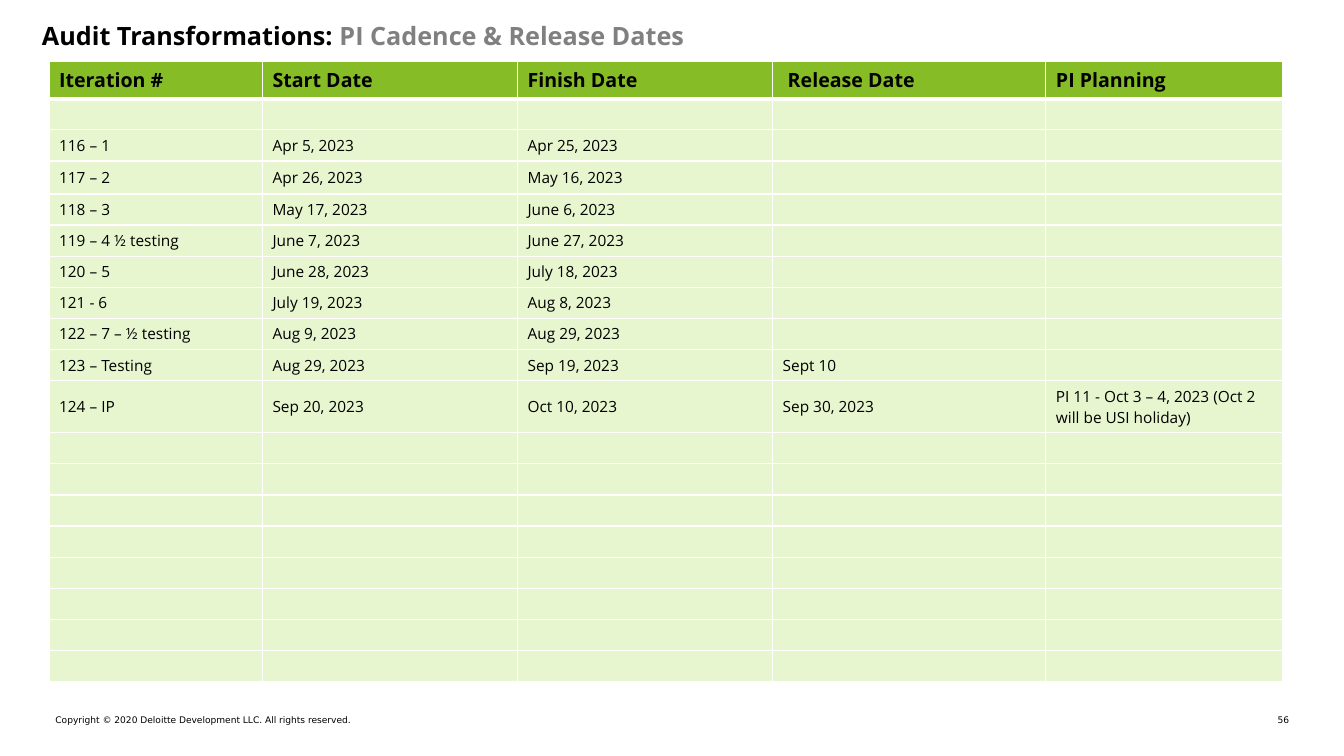
from dataclasses import dataclass

from lxml import etree
from pptx import Presentation
from pptx.dml.color import RGBColor
from pptx.enum import text as t
from pptx.oxml import ns
from pptx.util import Pt


@dataclass(frozen=True)
class Theme:
    font: str = "Open Sans"
    footer_font: str = "DejaVu Sans"
    ink: str = "000000"
    muted: str = "808080"
    border: str = "FFFFFF"
    header_fill: str = "86BC25"
    body_fill: str = "E8F6CF"
    title_size: float = 18
    header_size: float = 14
    body_size: float = 11
    footer_size: float = 6.5


THEME = Theme()
HEADERS = ["Iteration #", "Start Date", "Finish Date", " Release Date", "PI Planning"]
ITERATIONS = [
    ["116 – 1", "Apr 5, 2023", "Apr 25, 2023"],
    ["117 – 2", "Apr 26, 2023", "May 16, 2023"],
    ["118 – 3", "May 17, 2023", "June 6, 2023"],
    ["119 – 4 ½ testing", "June 7, 2023", "June 27, 2023"],
    ["120 – 5", "June 28, 2023", "July 18, 2023"],
    ["121 - 6", "July 19, 2023", "Aug 8, 2023"],
    ["122 – 7 – ½ testing", "Aug 9, 2023", "Aug 29, 2023"],
    ["123 – Testing", "Aug 29, 2023", "Sep 19, 2023", "Sept 10"],
    ["124 – IP", "Sep 20, 2023", "Oct 10, 2023", "Sep 30, 2023",
     "PI 11 - Oct 3 – 4, 2023 (Oct 2 will be USI holiday)"],
]
ROWS = [HEADERS, [], *ITERATIONS, *[[] for _ in range(8)]]
COLUMN_WIDTHS = [152.5, 182.2, 182.2, 195.2, 169.2]
ROW_HEIGHT = 22.15
SPECIAL_HEIGHTS = {0: 25.8, 3: 23.6, 10: 37.2}


def add_text(paragraph, content, *, size, color=THEME.ink, font=THEME.font, bold=False):
    run = paragraph.add_run()
    run.text = content
    run.font.size = Pt(size)
    run.font.name = font
    run.font.bold = bold
    run.font.color.rgb = RGBColor.from_string(color)


def clear_margins(frame):
    frame.margin_left = frame.margin_top = frame.margin_right = frame.margin_bottom = 0
    frame.word_wrap = True


def add_title(slide):
    title = slide.shapes.title
    title.left, title.top, title.width, title.height = Pt(30), Pt(13.5), Pt(886), Pt(26.5)
    frame = title.text_frame
    clear_margins(frame)
    frame.auto_size = t.MSO_AUTO_SIZE.NONE
    frame.vertical_anchor = t.MSO_ANCHOR.MIDDLE
    paragraph = frame.paragraphs[0]
    paragraph.alignment = t.PP_ALIGN.LEFT
    paragraph.line_spacing = 0.9
    add_text(paragraph, "Audit Transformations: ", size=THEME.title_size, bold=True)
    add_text(paragraph, "PI Cadence & Release Dates", size=THEME.title_size,
             color=THEME.muted, bold=True)


def add_footer(slide, content, left, width, alignment):
    box = slide.shapes.add_textbox(Pt(left), Pt(510), Pt(width), Pt(8))
    clear_margins(box.text_frame)
    paragraph = box.text_frame.paragraphs[0]
    paragraph.alignment = alignment
    add_text(paragraph, content, size=THEME.footer_size, font=THEME.footer_font)


def set_borders(cell, bottom_width):
    properties = cell._tc.get_or_add_tcPr()
    for side, width in (("L", 1), ("R", 1), ("T", 1), ("B", bottom_width)):
        line = etree.SubElement(properties, ns.qn(f"a:ln{side}"), w=str(Pt(width)))
        fill = etree.SubElement(line, ns.qn("a:solidFill"))
        etree.SubElement(fill, ns.qn("a:srgbClr"), val=THEME.border)


def format_cell(cell, content, is_header):
    set_borders(cell, 3 if is_header else 1)
    cell.fill.solid()
    cell.fill.fore_color.rgb = RGBColor.from_string(
        THEME.header_fill if is_header else THEME.body_fill)
    cell.vertical_anchor = t.MSO_ANCHOR.TOP if is_header else t.MSO_ANCHOR.MIDDLE
    paragraph = cell.text_frame.paragraphs[0]
    size = THEME.header_size if is_header else THEME.body_size
    if content:
        add_text(paragraph, content, size=size, bold=is_header)
    else:
        # The end mark's size keeps an empty row from growing.
        end = etree.SubElement(paragraph._p, ns.qn("a:endParaRPr"), sz=str(size * 100))
        etree.SubElement(end, ns.qn("a:latin"), typeface=THEME.font)


def add_cadence_table(slide):
    heights = [SPECIAL_HEIGHTS.get(index, ROW_HEIGHT) for index in range(len(ROWS))]
    table = slide.shapes.add_table(
        len(ROWS), len(HEADERS), Pt(35), Pt(44.2),
        Pt(sum(COLUMN_WIDTHS)), Pt(sum(heights))).table
    table.horz_banding = False
    for column, width in zip(table.columns, COLUMN_WIDTHS):
        column.width = Pt(width)
    for index, (row, height, values) in enumerate(zip(table.rows, heights, ROWS)):
        row.height = Pt(height)
        padded = values + [""] * (len(HEADERS) - len(values))
        for cell, content in zip(row.cells, padded):
            format_cell(cell, content, is_header=index == 0)


def main():
    presentation = Presentation()
    presentation.slide_width, presentation.slide_height = Pt(960), Pt(540)
    slide = presentation.slides.add_slide(presentation.slide_layouts[5])
    add_title(slide)
    add_cadence_table(slide)
    add_footer(slide, "Copyright © 2020 Deloitte Development LLC. All rights reserved.",
               39.6, 422, t.PP_ALIGN.LEFT)
    add_footer(slide, "56", 896.4, 24.5, t.PP_ALIGN.RIGHT)
    presentation.save("out.pptx")


if __name__ == "__main__":
    main()
